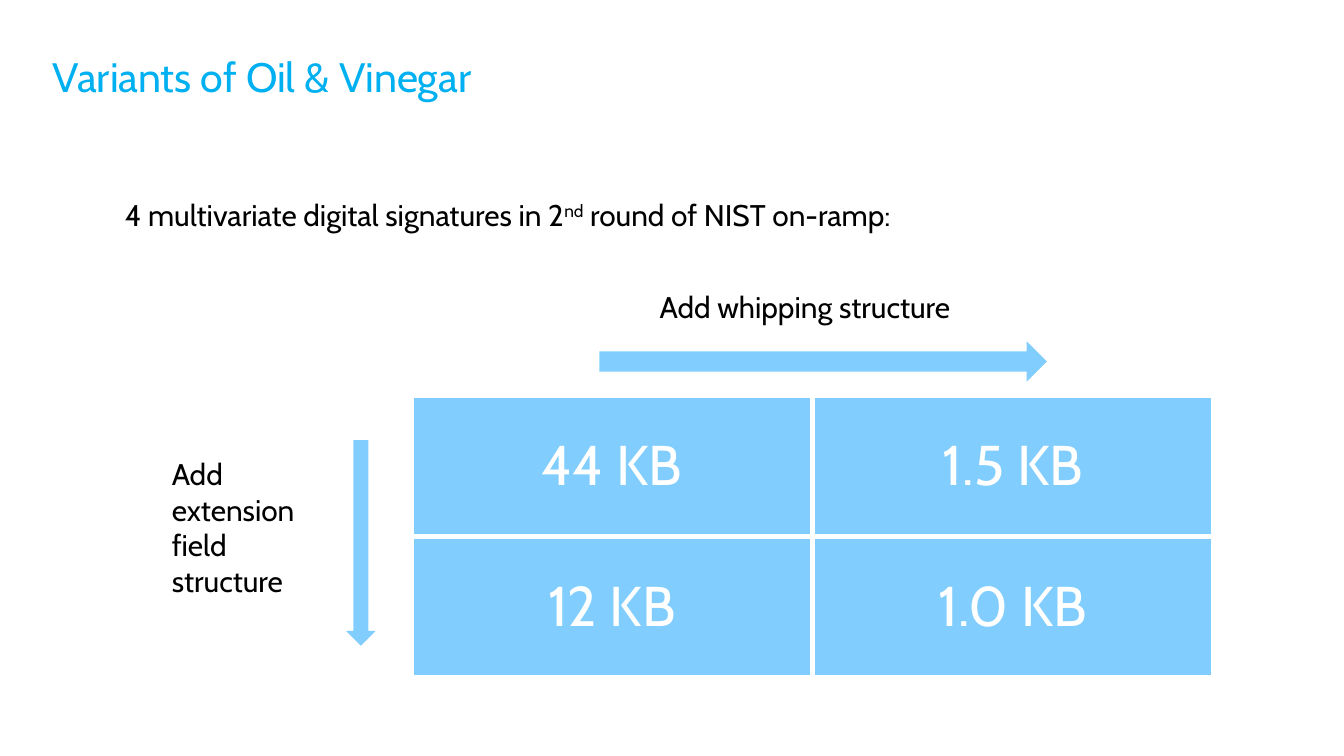
from pptx import Presentation
from pptx.dml.color import RGBColor as RGB
from pptx.enum.shapes import MSO_SHAPE as Shape
from pptx.enum.text import MSO_ANCHOR as Anchor, PP_ALIGN as Align
from pptx.oxml import parse_xml
from pptx.oxml.ns import nsdecls
from pptx.util import Inches, Pt

BLUE = RGB(0x00, 0xB0, 0xF0)
SKY = RGB(0x81, 0xCE, 0xFE)
WHITE = RGB(0xFF, 0xFF, 0xFF)
BLACK = RGB(0x00, 0x00, 0x00)
WIDE = Inches(10)
SIZES = [["44 KB", "1.5 KB"], ["12 KB", "1.0 KB"]]
PAD = {"margin_left": 0, "margin_top": 0, "margin_right": 0, "margin_bottom": 0}


def style(item, look):
    """Set each attribute named in the dict."""
    for name, value in look.items():
        setattr(item, name, value)


def write(para, text, size, color, look):
    """Put one formatted run in a paragraph and return it."""
    style(para, look)
    run = para.add_run()
    run.text = text
    style(run.font, {"name": "Cabin", "size": Pt(size)})
    run.font.color.rgb = color
    return run


def add_text(slide, box, parts, size=16, color=BLACK, look={}, frame={}):
    """Add a text box whose every second part is superscript."""
    area = slide.shapes.add_textbox(*map(Inches, box)).text_frame
    style(area, {"word_wrap": True, **frame})
    para = area.paragraphs[0]
    for i, part in enumerate(parts):
        for j, line in enumerate(part.split("\n")):
            if j:
                para.add_line_break()
            run = write(para, line, size, color, look)
            if i % 2:
                run.font._element.set("baseline", "30000")


def add_arrow(slide, box, turn=0):
    """Add a plain block arrow turned by some degrees."""
    arrow = slide.shapes.add_shape(Shape.RIGHT_ARROW, *map(Inches, box))
    arrow.rotation = turn
    arrow.shadow.inherit = False
    arrow.fill.solid()
    arrow.fill.fore_color.rgb = SKY
    arrow.line.fill.background()


def add_edges(cell):
    """Give a cell white borders on all sides."""
    props = cell._tc.get_or_add_tcPr()
    for i, side in enumerate("LRTB"):
        props.insert(i, parse_xml(
            f'<a:ln{side} {nsdecls("a")} w="{Pt(3)}"><a:solidFill>'
            f'<a:srgbClr val="{WHITE}"/></a:solidFill></a:ln{side}>'))


def add_grid(slide, box):
    """Add the table of key sizes."""
    grid = slide.shapes.add_table(2, 2, *map(Inches, box)).table
    style(grid, {"first_row": False, "horz_banding": False})
    for r, row in enumerate(SIZES):
        for c, text in enumerate(row):
            cell = grid.cell(r, c)
            cell.vertical_anchor = Anchor.MIDDLE
            cell.fill.solid()
            cell.fill.fore_color.rgb = SKY
            add_edges(cell)
            write(cell.text_frame.paragraphs[0], text, 30, WHITE,
                  {"alignment": Align.CENTER})


def add_head(slide, x, y):
    """Add the title and the lead line."""
    add_text(slide, (x, y, 8.08, 0.88), ["Variants of Oil & Vinegar"], 22, BLUE,
             {"line_spacing": Pt(28), "space_after": Pt(18)}, PAD)
    add_text(slide, (x + 0.44, y + 1.1, 8.08, 0.87),
             ["4 multivariate digital signatures in 2", "nd",
              " round of NIST on-ramp:"],
             look={"line_spacing": Pt(16), "space_after": Pt(6)})


def add_chart(slide, x, y):
    """Add the grid with its labelled arrows across and down."""
    add_grid(slide, (x, y, 5.97, 2.1))
    add_arrow(slide, (x + 1.4, y - 0.4, 3.33, 0.3))
    add_arrow(slide, (x - 1.14, y + 0.99, 1.53, 0.22), 90)
    add_text(slide, (x + 1.75, y - 0.84, 2.91, 0.37), ["Add whipping structure"])
    add_text(slide, (x - 1.88, y + 0.4, 1.36, 1.18),
             ["Add extension \nfield structure"])


def main():
    """Build and save the slide."""
    deck = Presentation()
    style(deck, {"slide_width": WIDE, "slide_height": WIDE * 9 // 16})
    slide = deck.slides.add_slide(deck.slide_layouts[6])
    add_head(slide, 0.39, 0.36)
    add_chart(slide, 3.06, 2.94)
    deck.save("out.pptx")


if __name__ == "__main__":
    main()
